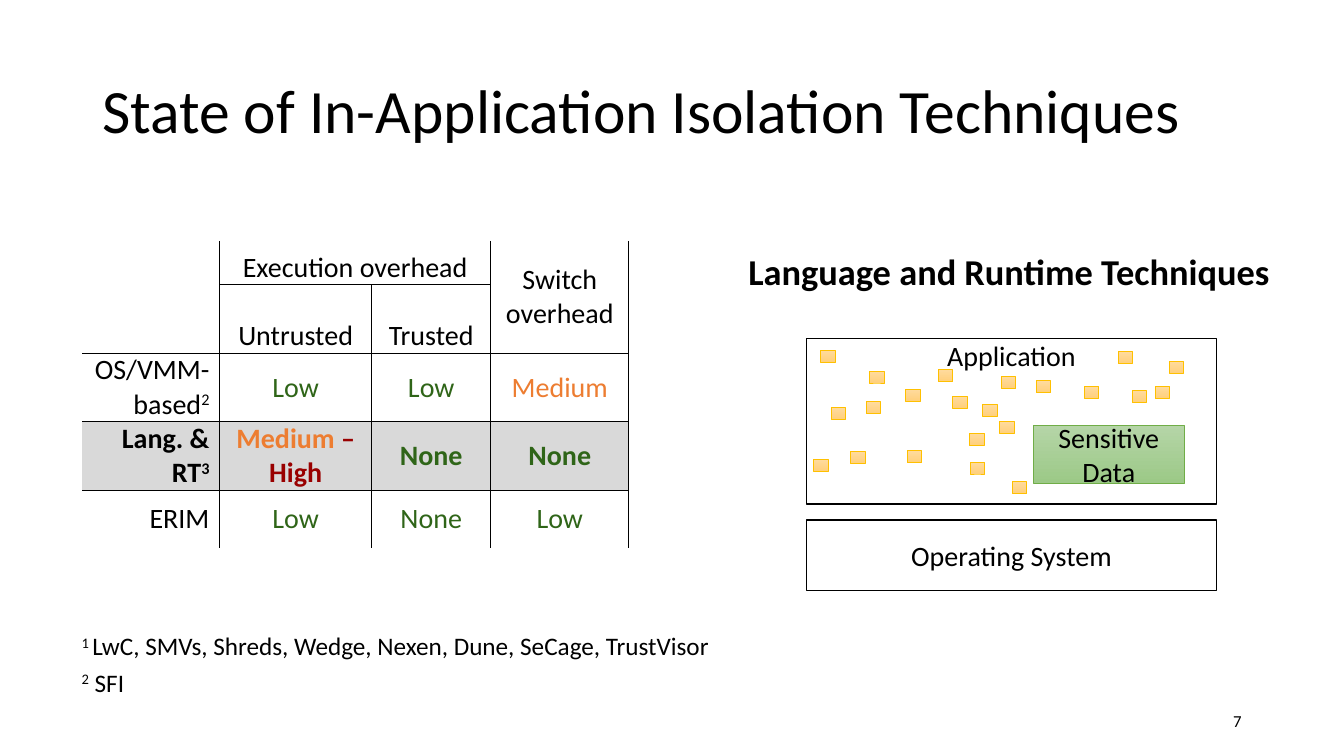
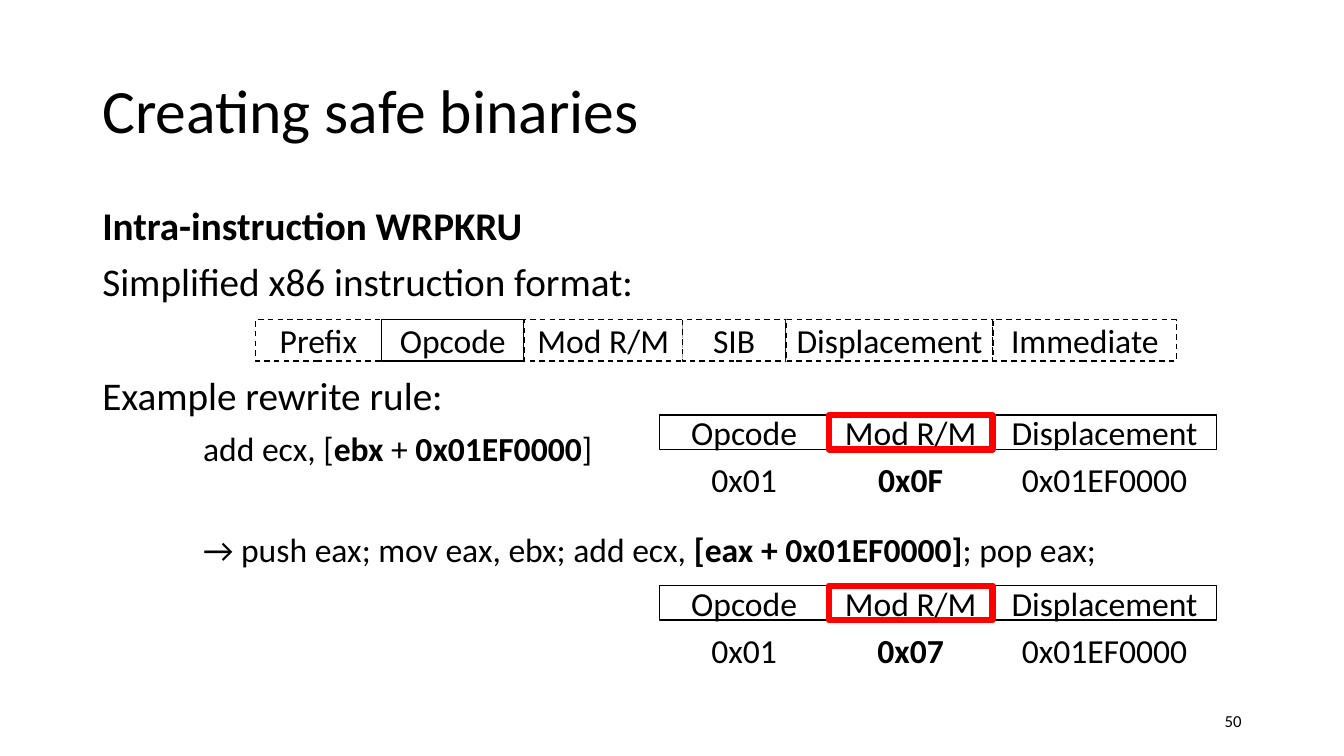
from dataclasses import dataclass
from itertools import accumulate

from lxml import etree
from pptx import Presentation
from pptx.dml.color import RGBColor
from pptx.enum.dml import MSO_LINE
from pptx.enum.shapes import MSO_SHAPE
from pptx.enum.text import MSO_ANCHOR, PP_ALIGN
from pptx.oxml.ns import qn
from pptx.util import Pt

LEFT, CENTER, RIGHT = PP_ALIGN.LEFT, PP_ALIGN.CENTER, PP_ALIGN.RIGHT
TOP, MIDDLE, BOTTOM = MSO_ANCHOR.TOP, MSO_ANCHOR.MIDDLE, MSO_ANCHOR.BOTTOM
RECTANGLE, DASH = MSO_SHAPE.RECTANGLE, MSO_LINE.DASH
PLAIN_TABLE = "{2D5ABB26-0587-4C30-8999-92F81FD0307C}"


@dataclass(frozen=True)
class Theme:
    font: str = "Calibri"
    ink: str = "000000"
    paper: str = "FFFFFF"
    highlight: str = "D9D9D9"
    good: str = "2F6518"
    fair: str = "ED7D31"
    bad: str = "990000"
    alert: str = "FF0000"
    data_fill: tuple = ("B5D5A7", "9CC987")
    data_line: str = "70AD47"
    dot_fill: tuple = ("FFDB9E", "FFD07C")
    dot_line: str = "FFC000"
    title: int = 44
    body: int = 28
    heading: int = 26
    code: int = 24
    label: int = 20
    note: int = 18
    number: int = 12


THEME = Theme()

# Content: a paragraph is a string or a list of runs; a run is a string
# or a pair of text and format
BOLD = {"bold": True}
RAISED = {"raised": True}
GOOD = {"color": THEME.good}
FAIR = {"color": THEME.fair}
BAD = {"color": THEME.bad}

ISOLATION_TITLE = "State of In-Application Isolation Techniques"
COLUMN_WIDTHS = (98.3, 108.7, 85, 98.7)
ROW_HEIGHTS = (31.5, 48.8, 49, 49, 41)
HEADER_CELLS = {
    (0, 1): (["Execution overhead"], BOTTOM),
    (0, 3): (["Switch", "overhead"], MIDDLE),
    (1, 1): (["Untrusted"], BOTTOM),
    (1, 2): (["Trusted"], BOTTOM),
}
TECHNIQUES = [
    (["OS/VMM-based", ("2", RAISED)], [("Low", GOOD)], [("Low", GOOD)],
     [("Medium", FAIR)]),
    (["Lang. & RT", ("3", RAISED)], [("Medium", FAIR), (" – High", BAD)],
     [("None", GOOD)], [("None", GOOD)]),
    (["ERIM"], [("Low", GOOD)], [("None", GOOD)], [("Low", GOOD)]),
]
CURRENT_TECHNIQUE = 1
FOOTNOTES = [
    [("1 ", RAISED), "LwC, SMVs, Shreds, Wedge, Nexen, Dune, SeCage, TrustVisor"],
    [("2", RAISED), " SFI"],
]
DOTS = [
    (715, 269), (618.5, 287), (621, 265), (670, 264), (680.5, 283),
    (607.5, 322.5), (586, 250), (740, 272), (647, 278), (593.5, 291),
    (702, 289), (581, 328), (714, 301), (648, 322), (692.5, 309.5),
    (723, 344), (693, 330), (774.5, 276), (808.5, 279), (798.5, 251),
    (825, 276), (835, 258),
]

BINARIES_TITLE = "Creating safe binaries"
# Runs, size, space before, indent
BINARIES_BODY = [
    ([("Intra-instruction WRPKRU", BOLD)], THEME.body, 0, 0),
    (["Simplified x86 instruction format:"], THEME.body, 10, 0),
    (["Example rewrite rule:"], THEME.body, 50.8, 0),
    (["add ecx, [", ("ebx", BOLD), " + ", ("0x01EF0000", BOLD), "]"],
     THEME.code, 10, 72),
    (["→ push eax; mov eax, ebx; add ecx, ", ("[eax + 0x01EF0000]", BOLD),
      "; pop eax;"], THEME.code, 46.4, 72),
]
# Name, width, optional
INSTRUCTION_FORMAT = [
    ("Prefix", 90, True), ("Opcode", 102, False), ("Mod R/M", 113, True),
    ("SIB", 74, True), ("Displacement", 148, True), ("Immediate", 131, True),
]
# Name, width, rewritten
ENCODING_FIELDS = [
    ("Opcode", 121, False), ("Displacement", 160, False), ("Mod R/M", 117, True),
]
ENCODING_ORDER = ("Opcode", "Mod R/M", "Displacement")
# Top, value of each field
ENCODINGS = [
    (296.6, {"Opcode": "0x01", "Mod R/M": "0x0F", "Displacement": "0x01EF0000"}),
    (418.4, {"Opcode": "0x01", "Mod R/M": "0x07", "Displacement": "0x01EF0000"}),
]


# Helpers
def rgb(value):
    return RGBColor.from_string(value)


def write_text(frame, paragraphs, *, size, align=LEFT, bold=False,
               color=THEME.ink, line_spacing=None):
    for index, runs in enumerate(paragraphs):
        paragraph = frame.paragraphs[0] if index == 0 else frame.add_paragraph()
        paragraph.alignment = align
        if line_spacing:
            paragraph.line_spacing = line_spacing
        for run_content in [runs] if isinstance(runs, str) else runs:
            text, style = (run_content, {}) if isinstance(run_content, str) else run_content
            run = paragraph.add_run()
            run.text = text
            run.font.name = THEME.font
            run.font.size = Pt(size)
            run.font.bold = style.get("bold", bold)
            run.font.color.rgb = rgb(style.get("color", color))
            if style.get("raised"):
                run._r.get_or_add_rPr().set("baseline", "30000")


def add_text(slide, box, paragraphs, *, anchor=TOP, wrap=True, **text_format):
    shape = slide.shapes.add_textbox(*map(Pt, box))
    shape.text_frame.word_wrap = wrap
    shape.text_frame.vertical_anchor = anchor
    write_text(shape.text_frame, paragraphs, **text_format)
    return shape


def add_box(slide, box, text=None, *, fill=THEME.paper, line=THEME.ink,
            line_width=1, dash=None, anchor=MIDDLE, size=THEME.label):
    shape = slide.shapes.add_shape(RECTANGLE, *map(Pt, box))
    shape.shadow.inherit = False
    if isinstance(fill, tuple):
        shape.fill.gradient()
        shape.fill.gradient_angle = 270
        for stop, color in zip(shape.fill.gradient_stops, fill):
            stop.color.rgb = rgb(color)
    else:
        shape.fill.solid()
        shape.fill.fore_color.rgb = rgb(fill)
    shape.line.color.rgb = rgb(line)
    shape.line.width = Pt(line_width)
    if dash:
        shape.line.dash_style = dash
    if text:
        shape.text_frame.word_wrap = True
        shape.text_frame.vertical_anchor = anchor
        write_text(shape.text_frame, [text], size=size, align=CENTER)
    return shape


def add_slide(presentation, title, number):
    slide = presentation.slides.add_slide(presentation.slide_layouts[6])
    add_text(slide, (66, 28.8, 828, 104.4), [title], size=THEME.title,
             anchor=MIDDLE, line_spacing=0.9)
    add_text(slide, (678, 500.5, 216, 28.8), [str(number)], size=THEME.number,
             anchor=MIDDLE, align=RIGHT)
    return slide


def set_cell_borders(cell, sides):
    properties = cell._tc.get_or_add_tcPr()
    for side in sides:
        line = etree.SubElement(properties, qn(f"a:ln{side}"), w=str(Pt(1)))
        fill = etree.SubElement(line, qn("a:solidFill"))
        etree.SubElement(fill, qn("a:srgbClr"), val=THEME.ink)


def write_cell(cell, paragraphs, *, anchor=MIDDLE, side_margin=7.2, **text_format):
    cell.vertical_anchor = anchor
    cell.margin_left = cell.margin_right = Pt(side_margin)
    write_text(cell.text_frame, paragraphs, size=THEME.label, **text_format)


def add_overhead_table(slide):
    row_count, column_count = len(ROW_HEIGHTS), len(COLUMN_WIDTHS)
    table = slide.shapes.add_table(
        row_count, column_count, Pt(58.6), Pt(172),
        Pt(sum(COLUMN_WIDTHS)), Pt(sum(ROW_HEIGHTS))).table
    table._tbl.tblPr.find(qn("a:tableStyleId")).text = PLAIN_TABLE
    table.first_row = table.horz_banding = False
    for column, width in zip(table.columns, COLUMN_WIDTHS):
        column.width = Pt(width)
    for row, height in zip(table.rows, ROW_HEIGHTS):
        row.height = Pt(height)

    # Inner grid and right edge; the empty corner stays open
    highlighted_row = 2 + CURRENT_TECHNIQUE
    for row in range(row_count):
        for column in range(column_count):
            cell = table.cell(row, column)
            cell.margin_top = cell.margin_bottom = 0
            sides = ["L"] if column else []
            sides.append("R")
            if row and (row, column) != (1, 0):
                sides.append("T")
            if row < row_count - 1 and (row, column) != (0, 0):
                sides.append("B")
            set_cell_borders(cell, sides)
            cell.fill.solid()
            cell.fill.fore_color.rgb = rgb(
                THEME.highlight if row == highlighted_row else THEME.paper)

    table.cell(0, 1).merge(table.cell(0, 2))
    table.cell(0, 3).merge(table.cell(1, 3))
    for position, (lines, anchor) in HEADER_CELLS.items():
        write_cell(table.cell(*position), lines, anchor=anchor, align=CENTER)
    for row, technique in enumerate(TECHNIQUES, start=2):
        for column, runs in enumerate(technique):
            write_cell(table.cell(row, column), [runs],
                       side_margin=0 if column else 7.2,
                       align=CENTER if column else RIGHT,
                       bold=row == highlighted_row)


# Slides
def build_isolation_slide(presentation):
    slide = add_slide(presentation, ISOLATION_TITLE, 7)
    add_overhead_table(slide)
    add_text(slide, (482, 174.2, 478, 39), ["Language and Runtime Techniques"],
             size=THEME.heading, bold=True, align=CENTER)

    # Application memory with scattered data
    application = add_box(slide, (576, 242, 293, 118), "Application", anchor=TOP)
    application.text_frame.margin_top = 0
    add_box(slide, (738, 304, 108, 41), "Sensitive Data",
            fill=THEME.data_fill, line=THEME.data_line, line_width=0.5)
    for left, top in DOTS:
        add_box(slide, (left, top, 10.4, 8.6), fill=THEME.dot_fill,
                line=THEME.dot_line, line_width=0.5)
    add_box(slide, (576, 371.5, 293, 50.4), "Operating System")

    for index, runs in enumerate(FOOTNOTES):
        add_text(slide, (51.2, 447 + 26 * index, 469, 29), [runs],
                 size=THEME.note, wrap=False)


def build_binaries_slide(presentation):
    slide = add_slide(presentation, BINARIES_TITLE, 50)
    body = add_text(slide, (66, 144, 828, 343),
                    [runs for runs, *_ in BINARIES_BODY],
                    size=THEME.body, line_spacing=0.9)
    for paragraph, (_, size, before, indent) in zip(
            body.text_frame.paragraphs, BINARIES_BODY):
        paragraph.space_before = Pt(before)
        paragraph._p.get_or_add_pPr().set("marL", str(Pt(indent)))
        for run in paragraph.runs:
            run.font.size = Pt(size)

    # Instruction format; optional fields are dashed
    lefts = accumulate((width for _, width, _ in INSTRUCTION_FORMAT), initial=182.4)
    for left, (name, width, optional) in zip(lefts, INSTRUCTION_FORMAT):
        add_box(slide, (left, 228.4, width, 29.5), name, size=THEME.code,
                dash=DASH if optional else None)

    # Encodings before and after the rewrite
    widths = {name: width for name, width, _ in ENCODING_FIELDS}
    field_lefts = dict(zip(ENCODING_ORDER, accumulate(
        (widths[name] for name in ENCODING_ORDER), initial=471)))
    for top, values in ENCODINGS:
        for name, width, rewritten in ENCODING_FIELDS:
            left = field_lefts[name]
            add_box(slide, (left, top, width, 24.5), name, size=THEME.code,
                    line=THEME.alert if rewritten else THEME.ink,
                    line_width=4.5 if rewritten else 1)
            add_text(slide, (left, top + 28, width, 36), [values[name]],
                     size=THEME.code, align=CENTER, bold=rewritten)


def main():
    presentation = Presentation()
    presentation.slide_width, presentation.slide_height = Pt(960), Pt(540)
    build_isolation_slide(presentation)
    build_binaries_slide(presentation)
    presentation.save("out.pptx")


if __name__ == "__main__":
    main()
